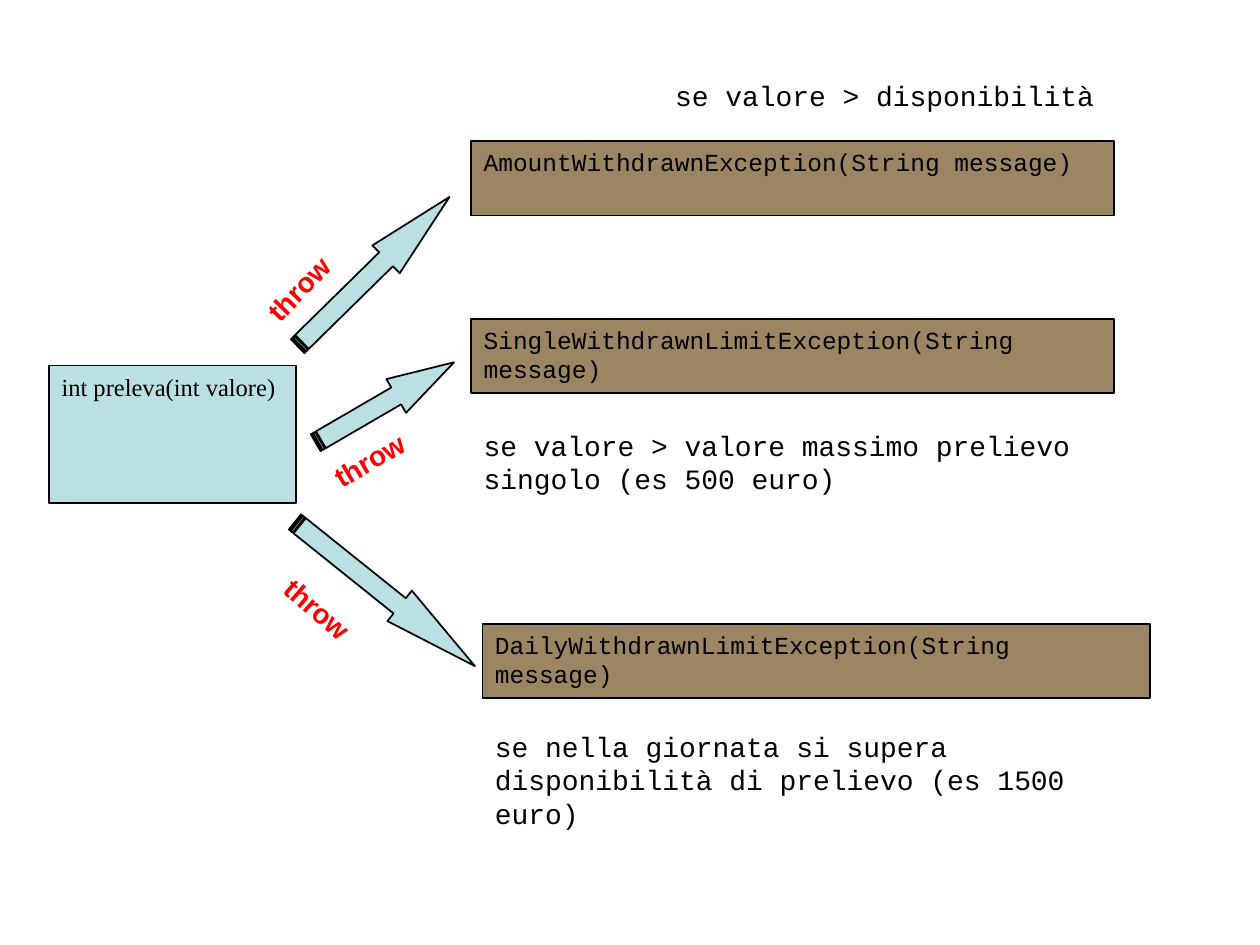
"""Build a slide showing which exceptions a withdrawal method throws."""
from pptx import Presentation
from pptx.dml.color import RGBColor
from pptx.enum.shapes import MSO_SHAPE
from pptx.enum.text import MSO_ANCHOR, PP_ALIGN
from pptx.util import Inches, Pt

WIDTH, HEIGHT = Inches(10), Inches(7.5)
BLACK, RED, AQUA, BROWN = "000000", "FF0000", "BBE0E3", "9C8563"
BOX_HEIGHT, ARROW_HEIGHT, LABEL_HEIGHT = 7.87, 4.13, 4.93
HEAD_SHARE = 0.418

METHOD = ("int preleva(int valore)", (3.9, 38.67, 19.6, 14.53))
BRANCHES = [
    {"exception": "AmountWithdrawnException(String message)", "box": (37.4, 14.93, 51),
     "condition": "se valore > disponibilità", "note": (52.6, 7.6, 39.6, 4.93),
     "arrow": (21.2, 26.67, 16.9), "arrow_angle": 315.5,
     "label": (19.1, 26.27, 11.8), "label_angle": 313.9},
    {"exception": "SingleWithdrawnLimitException(String message)", "box": (37.4, 33.73, 51),
     "condition": "se valore > valore massimo prelievo singolo (es 500 euro)",
     "note": (37.4, 44.67, 54.8, 10.8),
     "arrow": (24.2, 40.53, 12.7), "arrow_angle": 329.8,
     "label": (25.1, 45.2, 11), "label_angle": 329.5},
    {"exception": "DailyWithdrawnLimitException(String message)", "box": (38.3, 66, 53),
     "condition": "se nella giornata si supera disponibilità di prelievo (es 1500 euro)",
     "note": (38.3, 76.53, 54.8, 15.6),
     "arrow": (21.4, 60.8, 18.3), "arrow_angle": 38.7,
     "label": (20.8, 63.33, 11.1), "label_angle": 41.1},
]


def color(value):
    return RGBColor.from_string(value)


def place(left, top, width, height):
    """Turn percentages of the slide into lengths."""
    return [round(share * side / 100) for share, side in
            ((left, WIDTH), (top, HEIGHT), (width, WIDTH), (height, HEIGHT))]


def add_figure(slide, preset, area, fill, angle=0):
    shape = slide.shapes.add_shape(preset, *place(*area))
    shape.shadow.inherit = False
    shape.fill.solid()
    shape.fill.fore_color.rgb = color(fill)
    shape.line.color.rgb = color(BLACK)
    shape.line.width = Pt(1)
    shape.rotation = angle
    return shape


def write(shape, text, font="Courier New", size=16, ink=BLACK, bold=False):
    frame = shape.text_frame
    frame.word_wrap = True
    frame.vertical_anchor = MSO_ANCHOR.TOP
    paragraph = frame.paragraphs[0]
    paragraph.alignment = PP_ALIGN.LEFT
    run = paragraph.add_run()
    run.text = text
    run.font.name, run.font.size, run.font.bold = font, Pt(size), bold
    run.font.color.rgb = color(ink)


def add_branch(slide, branch):
    arrow = add_figure(slide, MSO_SHAPE.STRIPED_RIGHT_ARROW,
                       (*branch["arrow"], ARROW_HEIGHT), AQUA, branch["arrow_angle"])
    arrow.adjustments[0] = 0.5
    arrow.adjustments[1] = HEAD_SHARE * arrow.width / arrow.height
    box = add_figure(slide, MSO_SHAPE.RECTANGLE, (*branch["box"], BOX_HEIGHT), BROWN)
    write(box, branch["exception"], size=14)
    write(slide.shapes.add_textbox(*place(*branch["note"])), branch["condition"])
    label = slide.shapes.add_textbox(*place(*branch["label"], LABEL_HEIGHT))
    label.rotation = branch["label_angle"]
    write(label, "throw", font="Arial", ink=RED, bold=True)


def main():
    presentation = Presentation()
    presentation.slide_width, presentation.slide_height = WIDTH, HEIGHT
    slide = presentation.slides.add_slide(presentation.slide_layouts[6])
    text, area = METHOD
    method = add_figure(slide, MSO_SHAPE.RECTANGLE, area, AQUA)
    write(method, text, font="Times New Roman", size=14)
    for branch in BRANCHES:
        add_branch(slide, branch)
    presentation.save("out.pptx")


if __name__ == "__main__":
    main()
